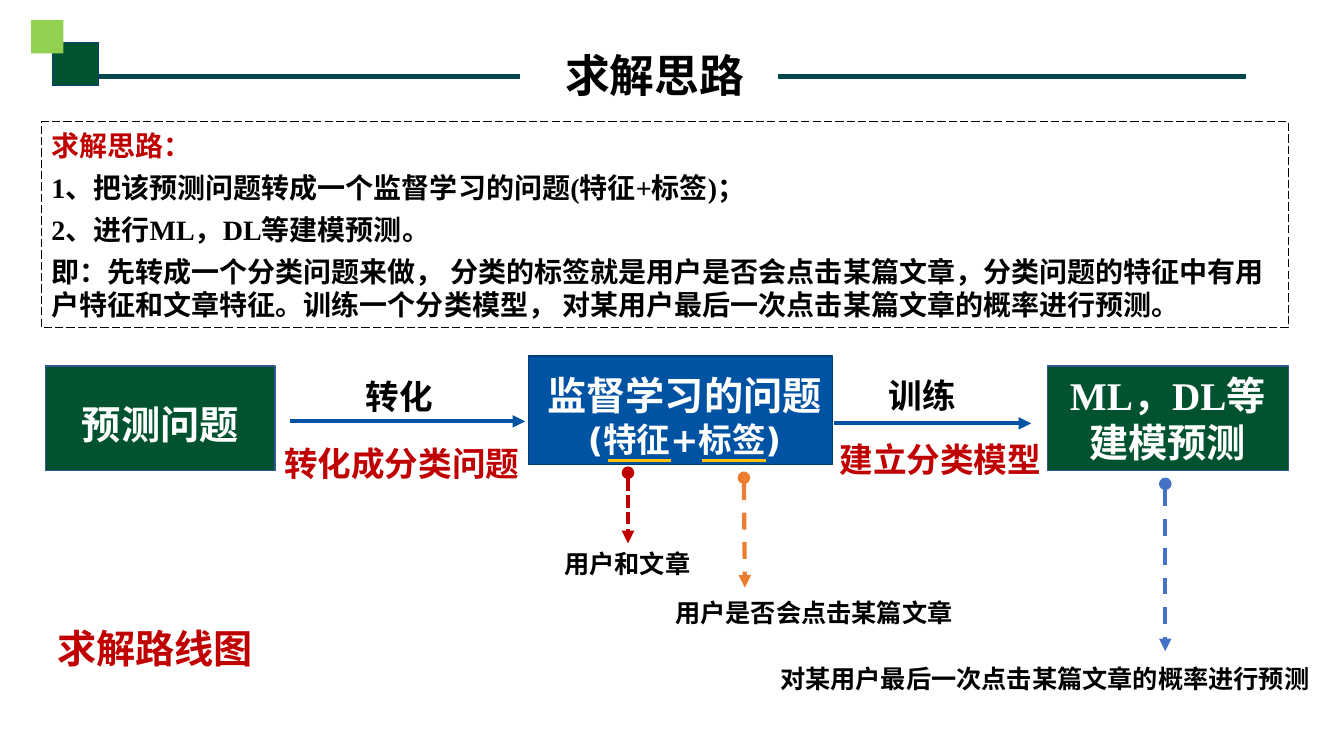
import pptx
import pptx.util
import pptx.dml.color
import pptx.enum.dml
import pptx.enum.shapes
import pptx.enum.text
import pptx.oxml.ns
import lxml.etree

CELL = 0.1  # inches per grid column and row
CJK, SANS, SERIF = "Noto Sans CJK SC", "DejaVu Sans", "Times New Roman"
GREEN, BLUE, RED, BLACK, WHITE = "01532F", "0053A3", "C00000", "000000", "FFFFFF"
DASH = pptx.enum.dml.MSO_LINE
ALIGN = pptx.enum.text.PP_ALIGN
MIDDLE = pptx.enum.text.MSO_ANCHOR.MIDDLE


def grid(*cells):
    return [pptx.util.Inches(n * CELL) for n in cells]


def place(box, x, y, w, h):
    """Turn cells counted from the box corner into slide lengths."""
    return grid(box[0] + x, box[1] + y, w, h)


def paint(part, color):
    """Colour a fill or a font."""
    rgb = pptx.dml.color.RGBColor.from_string(color)
    if hasattr(part, "solid"):
        part.solid()
        part.fore_color.rgb = rgb
    else:
        part.color.rgb = rgb


def stroke(line, color, width, dash=None):
    paint(line.fill, color)
    line.width = pptx.util.Pt(width)
    if dash:
        line.dash_style = dash


def write(frame, rows, font, align=ALIGN.LEFT, after=0):
    """Fill a frame with one paragraph per (text, size, color) row."""
    frame.auto_size = pptx.enum.text.MSO_AUTO_SIZE.NONE
    for i, (text, size, color) in enumerate(rows):
        para = frame.add_paragraph() if i else frame.paragraphs[0]
        para.alignment = align
        para.space_before = pptx.util.Pt(0)
        para.space_after = pptx.util.Pt(after if i < len(rows) - 1 else 0)
        run = para.add_run()
        run.text = text
        run.font.name, run.font.size, run.font.bold = font, pptx.util.Pt(size), True
        paint(run.font, color)


def block(slide, area, fill, edge=None):
    shape = slide.shapes.add_shape(pptx.enum.shapes.MSO_SHAPE.RECTANGLE, *area)
    shape.shadow.inherit = False
    paint(shape.fill, fill)
    if edge:
        stroke(shape.line, edge, 1)
    else:
        shape.line.fill.background()
    return shape


def label(slide, area, text, size, color=BLACK, font=SANS):
    frame = slide.shapes.add_textbox(*area).text_frame
    frame.word_wrap = False
    write(frame, [(text, size, color)], font)


def rule(slide, box, start, end, color, width=3, dash=None, head=None, tail=None):
    """Draw a line between two points counted from the box corner."""
    link = slide.shapes.add_connector(
        pptx.enum.shapes.MSO_CONNECTOR.STRAIGHT,
        *grid(box[0] + start[0], box[1] + start[1], box[0] + end[0], box[1] + end[1]))
    stroke(link.line, color, width, dash)
    ln = link.line.fill._xPr
    for tag, kind in (("a:headEnd", head), ("a:tailEnd", tail)):
        if kind:
            lxml.etree.SubElement(ln, pptx.oxml.ns.qn(tag), type=kind)
    lxml.etree.SubElement(link._element.spPr, pptx.oxml.ns.qn("a:effectLst"))


def move(holder, area):
    holder.left, holder.top, holder.width, holder.height = area


def header(slide, box):
    mid = 5.6
    rule(slide, box, (4.5, mid), (48.5, mid), "05484C")
    rule(slide, box, (box[2], mid), (74.1, mid), "05484C")
    block(slide, place(box, 2.1, 2.2, 4.6, 4.3), GREEN, "003D79")
    block(slide, place(box, 0, 0, 3.2, 3.3), "92D050")
    title = slide.shapes.title
    move(title, place(box, 44.4, 2.2, 34.9, 6.4))
    title.text_frame.vertical_anchor = MIDDLE
    write(title.text_frame, [("求解思路", 32, BLACK)], CJK, ALIGN.CENTER)


def idea(slide, box):
    body = slide.placeholders[1]
    move(body, grid(*box))
    stroke(body.line, BLACK, 0.75, DASH.LONG_DASH)
    frame = body.text_frame
    frame.vertical_anchor = MIDDLE
    write(frame, [
        ("求解思路：", 20, RED),
        ("1、把该预测问题转成一个监督学习的问题(特征+标签)；", 20, BLACK),
        ("2、进行ML，DL等建模预测。", 20, BLACK),
        ("即：先转成一个分类问题来做， 分类的标签就是用户是否会点击某篇文章，"
         "分类问题的特征中有用户特征和文章特征。训练一个分类模型， "
         "对某用户最后一次点击某篇文章的概率进行预测。", 20, BLACK),
    ], SERIF, after=6)
    for para in frame.paragraphs:
        props = para._p.get_or_add_pPr()
        props.set("marL", "0")
        props.set("indent", "0")
        lxml.etree.SubElement(props, pptx.oxml.ns.qn("a:buNone"))


def step(slide, area, fill, edge, rows, font, left=0.5, top=0.5):
    shape = block(slide, area, fill, edge)
    frame = shape.text_frame
    frame.word_wrap = True
    frame.vertical_anchor = MIDDLE
    frame.margin_left, frame.margin_top, frame.margin_right, frame.margin_bottom = grid(
        left, top, 0.5, 0.5)
    write(frame, rows, font, ALIGN.CENTER)


def flow(slide, box):
    """Three steps, the arrows between them and the words on the arrows."""
    step(slide, place(box, 0, 1, 22.8, 10.4), GREEN, "325491",
         [("预测问题", 28, WHITE)], SANS, top=1.5)
    step(slide, place(box, 47.9, 0, 30.2, 10.8), BLUE, "003D79",
         [("监督学习的问题", 28, WHITE), ("(特征+标签)", 24, WHITE)], SANS, 1.3, 1.5)
    step(slide, place(box, 99.4, 1, 23.9, 10.4), GREEN, "325491",
         [("ML，DL等建模预测", 28, WHITE)], SERIF)
    for start, end, y in ((24.3, 47.6, 6.5), (78.2, 97.8, 6.7)):
        rule(slide, box, (start, y), (end, y), BLUE, tail="triangle")
    for start, end in ((55.8, 62.1), (65.1, 71.5)):
        rule(slide, box, (start, 10.4), (end, 10.4), "FFC000", 2.25)
    for x, y, w, text, color in (
            (30.8, 1.5, 8.8, "转化", BLACK), (22.7, 8.1, 25.6, "转化成分类问题", RED),
            (82.7, 1.4, 8.8, "训练", BLACK), (77.8, 7.8, 22.2, "建立分类模型", RED)):
        label(slide, place(box, x, y, w, 5), text, 24, color)


def notes(slide, box):
    """Dashed arrows down to what each part stands for."""
    for start, end, color, dash, x, y, w, text in (
            ((57.6, 0), (57.6, 7), RED, DASH.SQUARE_DOT, 50.3, 7, 14.6, "用户和文章"),
            ((69.1, 0.5), (69.2, 11.4), "ED7D31", DASH.DASH,
             61.3, 11.9, 29.8, "用户是否会点击某篇文章"),
            ((110.9, 1.1), (110.9, 17.7), "4472C4", DASH.DASH,
             71.7, 18.4, 55, "对某用户最后一次点击某篇文章的概率进行预测")):
        rule(slide, box, start, end, color, 3, dash, "oval", "triangle")
        label(slide, place(box, x, y, w, 4), text, 18)
    label(slide, place(box, 0, 14.5, 21.7, 5.7), "求解路线图", 28, RED, SERIF)


def main():
    deck = pptx.Presentation()
    deck.slide_width, deck.slide_height = grid(133.33, 75)
    slide = deck.slides.add_slide(deck.slide_layouts[1])
    header(slide, (3.1, 2, 120.5, 8.6))
    idea(slide, (4.1, 12.1, 123.7, 20.4))
    flow(slide, (4.5, 35.3, 123.3, 13.1))
    notes(slide, (4.7, 46.9, 126.7, 22.4))
    deck.save("out.pptx")


if __name__ == "__main__":
    main()
